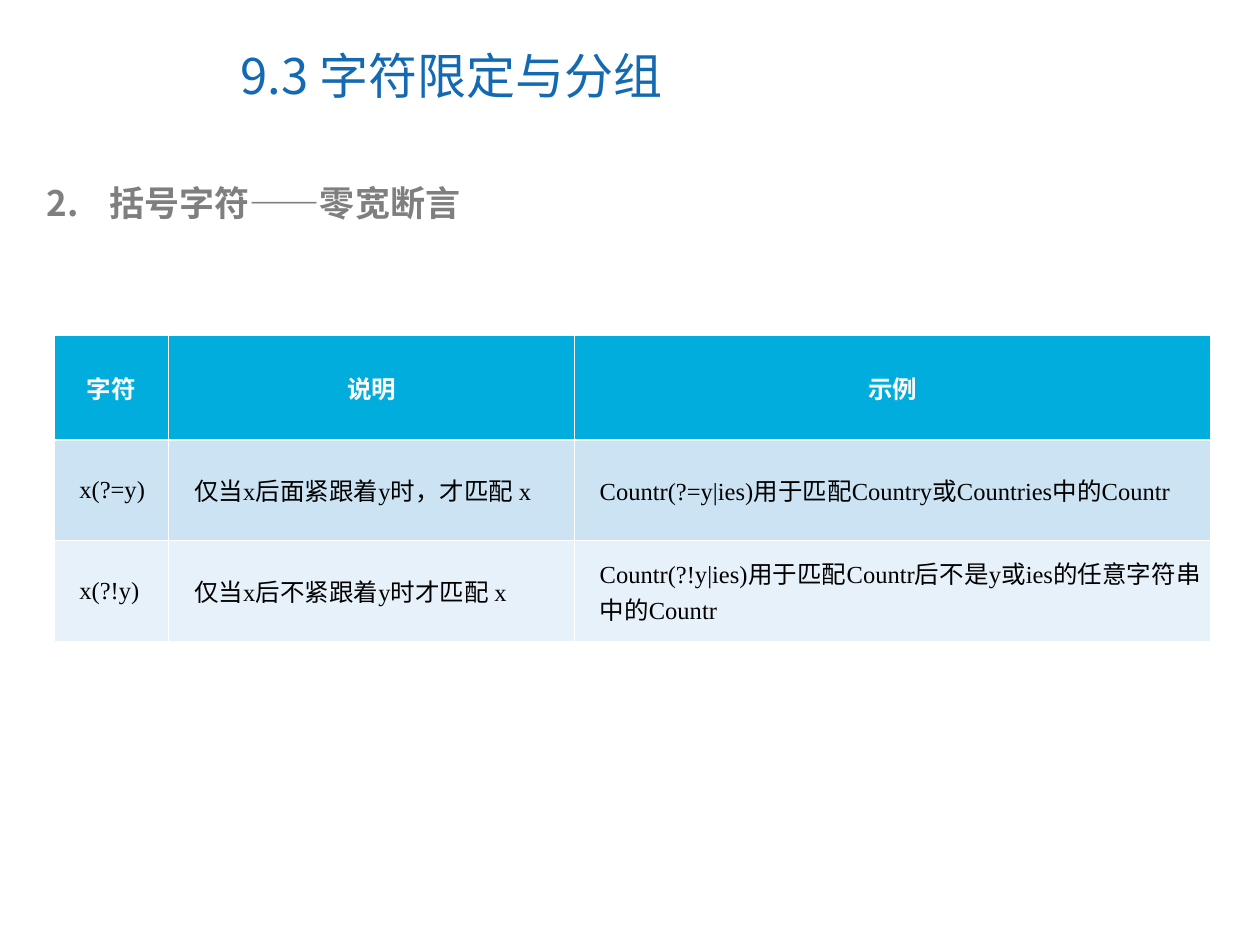
from dataclasses import dataclass

from lxml import etree
from pptx import Presentation
from pptx.dml.color import RGBColor
from pptx.enum.text import MSO_ANCHOR, MSO_AUTO_SIZE, PP_ALIGN
from pptx.oxml.ns import qn
from pptx.util import Inches, Pt

LEFT, CENTER, JUSTIFY = PP_ALIGN.LEFT, PP_ALIGN.CENTER, PP_ALIGN.JUSTIFY
TOP, MIDDLE = MSO_ANCHOR.TOP, MSO_ANCHOR.MIDDLE
NO_AUTO_SIZE = MSO_AUTO_SIZE.NONE

WIDTH, HEIGHT = Inches(10), Inches(7.5)
GRID = 100
CHINESE_FONT = "Noto Sans CJK SC"
WHITE, BLACK, BLUE, GREY = "FFFFFF", "000000", "1369B2", "7F7F7F"
THIN, THICK = 0.45, 1.47


@dataclass(frozen=True)
class Region:
    column: float
    row: float
    columns: float
    rows: float


@dataclass(frozen=True)
class TextStyle:
    size: float
    color: str
    bold: bool = False
    font: str = CHINESE_FONT


@dataclass(frozen=True)
class TableRow:
    texts: tuple[str, str, str]
    height: float
    fill: str
    top_border: float = THIN
    bottom_border: float = THIN
    header: bool = False


TITLE_REGION = Region(18.1, 2.27, 51.6, 11.33)
LIST_REGION = Region(2.7, 18.53, 92.2, 5.87)
TABLE_REGION = Region(4.3, 35.47, 91.8, 32.41)
COLUMN_WIDTHS = (9.1, 32.2, 50.5)
HEADER_FONTS = ("Times New Roman", "Arial", "Arial")

TABLE_ROWS = (
    TableRow(("字符", "说明", "示例"), 11.07, "00ADDC", bottom_border=THICK, header=True),
    TableRow(
        ("x(?=y)", "仅当x后面紧跟着y时，才匹配 x",
         "Countr(?=y|ies)用于匹配Country或Countries中的Countr"),
        10.67, "CBE3F2", top_border=THICK,
    ),
    TableRow(
        ("x(?!y)", "仅当x后不紧跟着y时才匹配 x",
         "Countr(?!y|ies)用于匹配Countr后不是y或ies的任意字符串中的Countr"),
        10.67, "E7F1F9",
    ),
)


def across(columns: float) -> int:
    return round(WIDTH * columns / GRID)


def down(rows: float) -> int:
    return round(HEIGHT * rows / GRID)


def bounds(region: Region) -> tuple[int, int, int, int]:
    return across(region.column), down(region.row), across(region.columns), down(region.rows)


def color(value: str) -> RGBColor:
    return RGBColor.from_string(value)


def format_runs(paragraph, style: TextStyle) -> None:
    for run in paragraph.runs:
        font = run.font
        font.size = Pt(style.size)
        font.bold = style.bold
        font.color.rgb = color(style.color)
        font.name = style.font
        east_asian = etree.SubElement(run._r.get_or_add_rPr(), qn("a:ea"))
        east_asian.set("typeface", CHINESE_FONT)


def fill_placeholder(placeholder, region: Region, text: str, style: TextStyle, anchor):
    placeholder.left, placeholder.top, placeholder.width, placeholder.height = bounds(region)
    text_frame = placeholder.text_frame
    text_frame.text = text
    text_frame.word_wrap = True
    text_frame.auto_size = NO_AUTO_SIZE
    text_frame.vertical_anchor = anchor
    paragraph = text_frame.paragraphs[0]
    paragraph.alignment = LEFT
    paragraph.space_before = Pt(0)
    format_runs(paragraph, style)
    return paragraph


def number_paragraph(paragraph, start: int, number_color: str) -> None:
    properties = paragraph._p.get_or_add_pPr()
    properties.set("marL", str(Inches(0.5)))
    properties.set("indent", str(-Inches(0.5)))
    bullet_color = etree.SubElement(properties, qn("a:buClr"))
    etree.SubElement(bullet_color, qn("a:srgbClr")).set("val", number_color)
    etree.SubElement(properties, qn("a:buFont")).set("typeface", CHINESE_FONT)
    numbering = etree.SubElement(properties, qn("a:buAutoNum"))
    numbering.set("type", "arabicPeriod")
    numbering.set("startAt", str(start))


def set_borders(cell, top: float, bottom: float) -> None:
    properties = cell._tc.get_or_add_tcPr()
    borders = (("a:lnL", THIN), ("a:lnR", THIN), ("a:lnT", top), ("a:lnB", bottom))
    for position, (tag, width) in enumerate(borders):
        line = etree.Element(qn(tag))
        line.set("w", str(Pt(width)))
        fill = etree.SubElement(line, qn("a:solidFill"))
        etree.SubElement(fill, qn("a:srgbClr")).set("val", WHITE)
        properties.insert(position, line)


def fill_cell(cell, text: str, row: TableRow, header_font: str) -> None:
    cell.fill.solid()
    cell.fill.fore_color.rgb = color(row.fill)
    set_borders(cell, row.top_border, row.bottom_border)
    cell.vertical_anchor = MIDDLE
    cell.margin_left = cell.margin_right = Inches(0.08)
    cell.text_frame.text = text
    paragraph = cell.text_frame.paragraphs[0]
    if row.header:
        paragraph.alignment = CENTER
        format_runs(paragraph, TextStyle(14, WHITE, True, header_font))
    else:
        paragraph.alignment = JUSTIFY
        paragraph._p.get_or_add_pPr().set("marL", str(Inches(0.12)))
        format_runs(paragraph, TextStyle(14, BLACK, font="Times New Roman"))


def add_assertion_table(slide) -> None:
    table = slide.shapes.add_table(
        len(TABLE_ROWS), len(COLUMN_WIDTHS), *bounds(TABLE_REGION)
    ).table
    table.horz_banding = False
    for column, width in zip(table.columns, COLUMN_WIDTHS):
        column.width = across(width)
    for table_row, row in zip(table.rows, TABLE_ROWS):
        table_row.height = down(row.height)
        for cell, text, header_font in zip(table_row.cells, row.texts, HEADER_FONTS):
            fill_cell(cell, text, row, header_font)


def main() -> None:
    presentation = Presentation()
    presentation.slide_width, presentation.slide_height = WIDTH, HEIGHT
    slide = presentation.slides.add_slide(presentation.slide_layouts[1])
    fill_placeholder(
        slide.shapes.title, TITLE_REGION, "9.3 字符限定与分组", TextStyle(28, BLUE), MIDDLE
    )
    heading = fill_placeholder(
        slide.placeholders[1], LIST_REGION, "括号字符——零宽断言", TextStyle(20, GREY, True), TOP
    )
    number_paragraph(heading, 2, GREY)
    add_assertion_table(slide)
    presentation.save("out.pptx")


if __name__ == "__main__":
    main()
